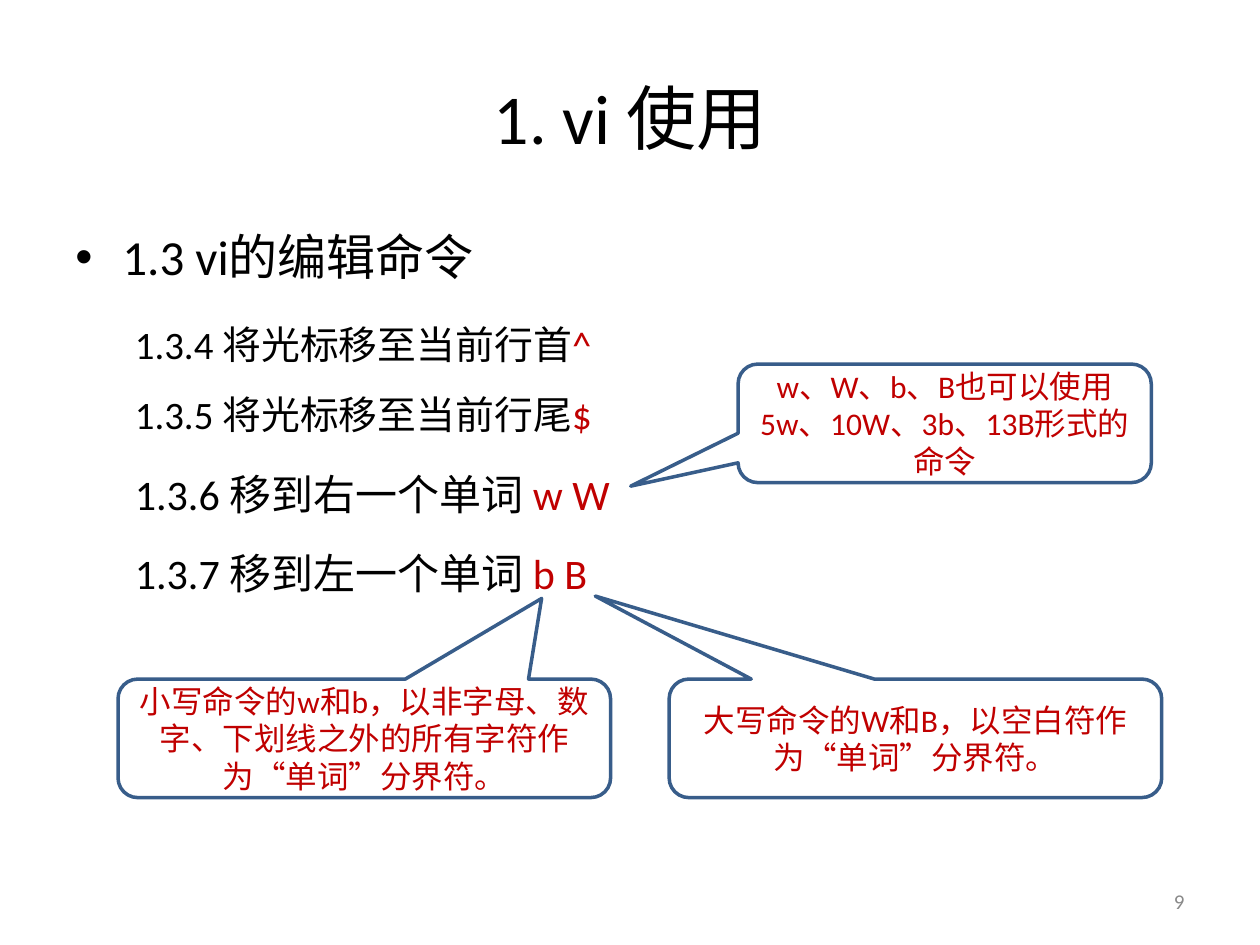
import pptx
import pptx.util
import pptx.dml.color
import pptx.enum.shapes
import pptx.enum.text
import lxml.etree

Cm, Pt = pptx.util.Cm, pptx.util.Pt
ALIGN = pptx.enum.text.PP_ALIGN
MIDDLE = pptx.enum.text.MSO_ANCHOR.MIDDLE
BLACK, RED, BLUE, GREY = "000000", "C00000", "385D8A", "898989"


def colour(code):
    return pptx.dml.color.RGBColor.from_string(code)


def write(box, spans, size, align=ALIGN.LEFT, anchor=pptx.enum.text.MSO_ANCHOR.TOP):
    """Fill the first paragraph of a box with (text, colour) spans."""
    frame = box.text_frame
    frame.word_wrap = True
    frame.vertical_anchor = anchor
    para = frame.paragraphs[0]
    para.alignment = align
    for text, code in spans:
        span = para.add_run()
        span.text = text
        span.font.name = "Calibri"
        span.font.size = Pt(size)
        span.font.color.rgb = colour(code)
    return para


deck = pptx.Presentation()
deck.slide_width, deck.slide_height = Cm(25.4), Cm(19.05)
page = deck.slides.add_slide(deck.slide_layouts[5])

# Title
title = page.shapes.title
title.left, title.top, title.width, title.height = Cm(1.27), Cm(0.76), Cm(22.86), Cm(3.18)
write(title, [("1. vi 使用", BLACK)], 40, ALIGN.CENTER, MIDDLE)

# Section heading with a bullet
heading = page.shapes.add_textbox(Cm(1.27), Cm(4.45), Cm(22.86), Cm(1.5))
para = write(heading, [("1.3 vi的编辑命令", BLACK)], 28)
props = para._p.get_or_add_pPr()
props.set("marL", str(Cm(0.95)))
props.set("indent", str(-Cm(0.95)))
for tag, name, value in [("buFont", "typeface", "Arial"), ("buChar", "char", "•")]:
    bullet = lxml.etree.SubElement(props, pptx.oxml.ns.qn("a:" + tag))
    bullet.set(name, value)

# Editing commands: top, width, height, size, line spacing, label, keys
commands = [
    (6.45, 12.12, 1.3, 22.2, 0.9, "1.3.4 将光标移至当前行首", "^"),
    (7.85, 12.12, 1.3, 22.2, 0.9, "1.3.5 将光标移至当前行尾", "$"),
    (9.32, 20.04, 1.6, 24, 1.0, "1.3.6 移到右一个单词 ", "w W"),
    (10.92, 20.04, 1.6, 24, 1.0, "1.3.7 移到左一个单词 ", "b B"),
]
for top, width, height, size, spacing, label, keys in commands:
    command = page.shapes.add_textbox(Cm(1.2), Cm(top), Cm(width), Cm(height))
    para = write(command, [(label, BLACK), (keys, RED)], size)
    para.line_spacing = spacing
    props = para._p.get_or_add_pPr()
    props.set("marL", str(Cm(2.06)))
    props.set("indent", str(-Cm(0.79)))

# Callouts: left, top, width, pointer tip, text
callouts = [
    (2.38, 13.69, 9.93, (0.36, -1.18),
     "小写命令的w和b，以非字母、数字、下划线之外的所有字符作为“单词”分界符。"),
    (13.49, 13.69, 9.93, (-0.65, -1.2),
     "大写命令的W和B，以空白符作为“单词”分界符。"),
    (14.88, 7.34, 8.33, (-0.76, 0.53),
     "w、W、b、B也可以使用5w、10W、3b、13B形式的命令"),
]
for left, top, width, tip, text in callouts:
    callout = page.shapes.add_shape(
        pptx.enum.shapes.MSO_SHAPE.ROUNDED_RECTANGULAR_CALLOUT,
        Cm(left), Cm(top), Cm(width), Cm(2.39))
    callout.adjustments[0], callout.adjustments[1] = tip
    callout.shadow.inherit = False
    callout.fill.background()
    callout.line.color.rgb = colour(BLUE)
    callout.line.width = Pt(2)
    write(callout, [(text, RED)], 18, ALIGN.CENTER, MIDDLE)

# Page number
number = page.shapes.add_textbox(Cm(18.21), Cm(17.65), Cm(5.92), Cm(1.02))
write(number, [("9", GREY)], 12, ALIGN.RIGHT, MIDDLE)

deck.save("out.pptx")
